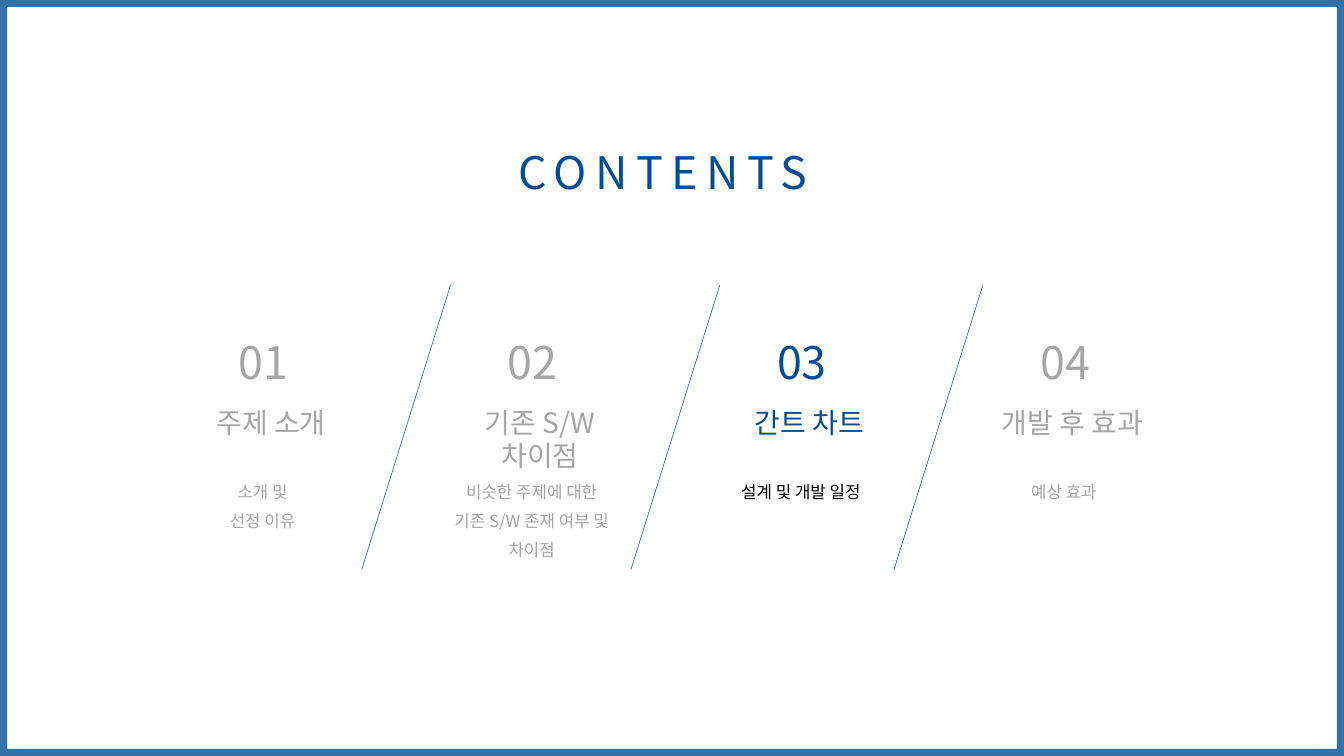
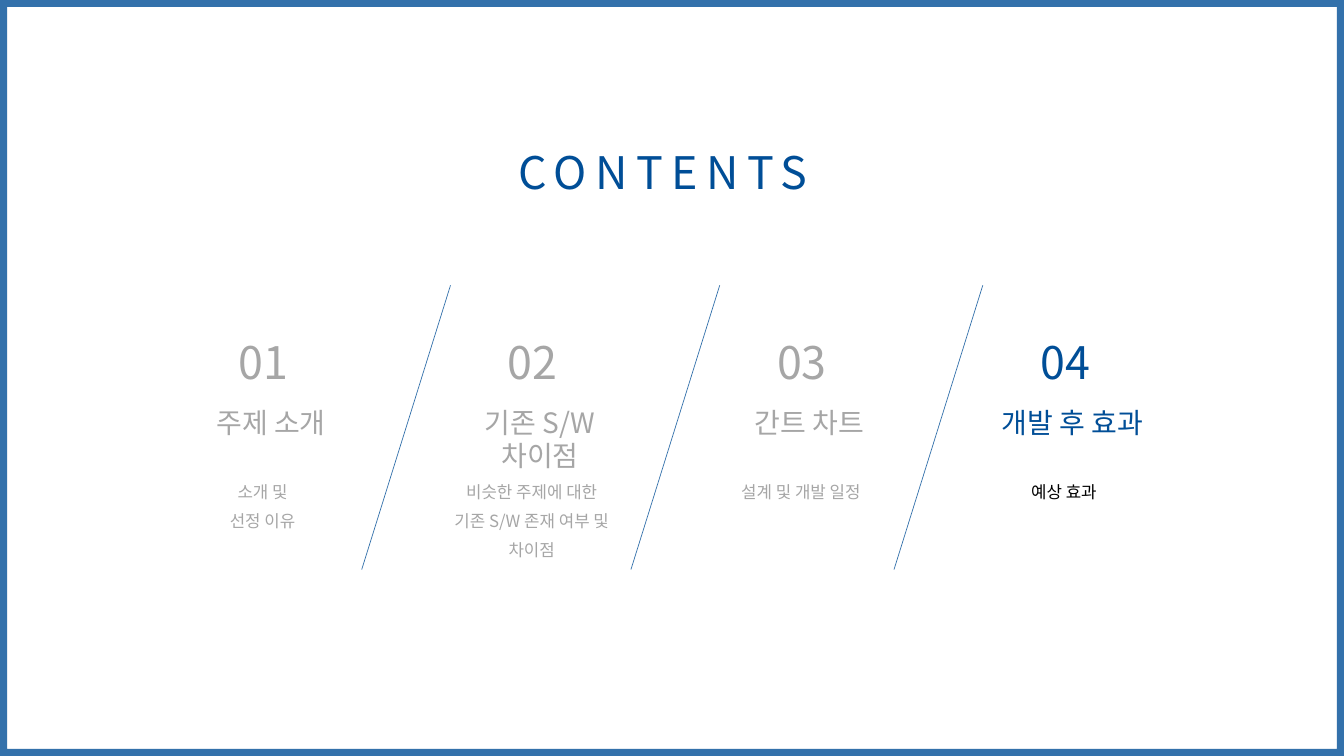
from dataclasses import dataclass

from lxml.etree import SubElement
from pptx import Presentation
from pptx.dml.color import RGBColor
from pptx.enum.shapes import MSO_CONNECTOR, MSO_SHAPE
from pptx.enum.text import MSO_ANCHOR, MSO_AUTO_SIZE, PP_ALIGN
from pptx.oxml import parse_xml
from pptx.oxml.ns import nsdecls, qn
from pptx.util import Pt


@dataclass(frozen=True)
class Theme:
    font: str = "Noto Sans CJK KR"
    blue: str = "004E97"
    grey: str = "A6A6A6"
    black: str = "000000"
    heading: int = 32
    topic: int = 20
    detail: int = 12
    tracking: int = 600
    line_alpha: int = 80000


T = Theme()
WIDTH, HEIGHT = 960, 540
TOP, BOTTOM = 203.8, 406.8
COLUMN_WIDTH, SLANT = 128, 63.4
COLUMN_LEFTS = (129.6, 321.8, 514.1, 702)
ITEMS = (
    ("01", ("주제 소개",), ("소개 및", "선정 이유")),
    ("02", ("기존 S/W", "차이점"),
     ("비슷한 주제에 대한", "기존 S/W 존재 여부 및", "차이점")),
    ("03", ("간트 차트",), ("설계 및 개발 일정",)),
    ("04", ("개발 후 효과",), ("예상 효과",)),
)


def style_line(sp, width):
    sp.line.width = Pt(width)
    sp.line.color.rgb = RGBColor.from_string(T.blue)
    clr = sp._element.spPr.find(".//" + qn("a:srgbClr"))
    SubElement(clr, qn("a:alpha"), val=str(T.line_alpha))


def write(sp, lines, size, color, align=PP_ALIGN.CENTER, spacing=None, gap=0):
    tf = sp.text_frame
    tf.word_wrap = True
    tf.auto_size = MSO_AUTO_SIZE.NONE
    tf.vertical_anchor = MSO_ANCHOR.TOP
    tf.margin_left = tf.margin_top = tf.margin_right = tf.margin_bottom = 0
    for i, line in enumerate(lines):
        p = tf.add_paragraph() if i else tf.paragraphs[0]
        p.alignment = align
        p.space_before = Pt(gap if i else 0)
        if spacing:
            p.line_spacing = spacing
        r = p.add_run()
        r.text = line
        r.font.size = Pt(size)
        r.font.color.rgb = RGBColor.from_string(color)
        r.font.name = T.font
        SubElement(r._r.rPr, qn("a:ea"), typeface=T.font)
    return tf


def add_text(s, left, top, width, height, lines, size, color, **style):
    sp = s.shapes.add_textbox(Pt(left), Pt(top), Pt(width), Pt(height))
    return write(sp, lines, size, color, **style)


def add_title(s, left, top, width, height):
    sp = s.shapes.title
    sp.left, sp.top, sp.width, sp.height = Pt(left), Pt(top), Pt(width), Pt(height)
    tf = write(sp, ["CONTENTS"], T.heading, T.blue)
    tf.paragraphs[0].runs[0]._r.rPr.set("spc", str(T.tracking))


def add_divider(s, left, top, bottom):
    ln = s.shapes.add_connector(
        MSO_CONNECTOR.STRAIGHT, Pt(left), Pt(top), Pt(left - SLANT), Pt(bottom))
    style_line(ln, 0.5)
    SubElement(ln._element.spPr, qn("a:effectLst"))


def add_column(s, left, top, width, item, active):
    number, topic, detail = item
    color = T.blue if active else T.grey
    tf = add_text(s, left + 41, top + 35.2, 88, 39, [number], T.heading, color,
                  align=PP_ALIGN.LEFT)
    if active:
        outline = parse_xml(
            f'<a:ln {nsdecls("a")} w="9525"><a:solidFill>'
            f'<a:srgbClr val="{T.blue}"/></a:solidFill></a:ln>')
        tf.paragraphs[0].runs[0]._r.rPr.insert(0, outline)
    add_text(s, left, top + 85.6, width, 24 * len(topic), topic, T.topic, color)
    add_text(s, left - 6, top + 136, width, 20 * len(detail), detail, T.detail,
             T.black if active else T.grey, spacing=1.3, gap=2)


def add_frame(s, width, height):
    sp = s.shapes.add_shape(MSO_SHAPE.RECTANGLE, 0, 0, Pt(width), Pt(height))
    sp.shadow.inherit = False
    sp.fill.background()
    style_line(sp, 10)


def add_contents(prs, current):
    s = prs.slides.add_slide(prs.slide_layouts[5])
    add_title(s, 87, 103, 773, 39)
    for i, (left, item) in enumerate(zip(COLUMN_LEFTS, ITEMS)):
        if i:
            add_divider(s, left, TOP, BOTTOM)
        add_column(s, left, TOP, COLUMN_WIDTH, item, item[0] == current)
    add_frame(s, WIDTH, HEIGHT)


def main():
    prs = Presentation()
    prs.slide_width, prs.slide_height = Pt(WIDTH), Pt(HEIGHT)
    for current in ("03", "04"):
        add_contents(prs, current)
    prs.save("out.pptx")


if __name__ == "__main__":
    main()
